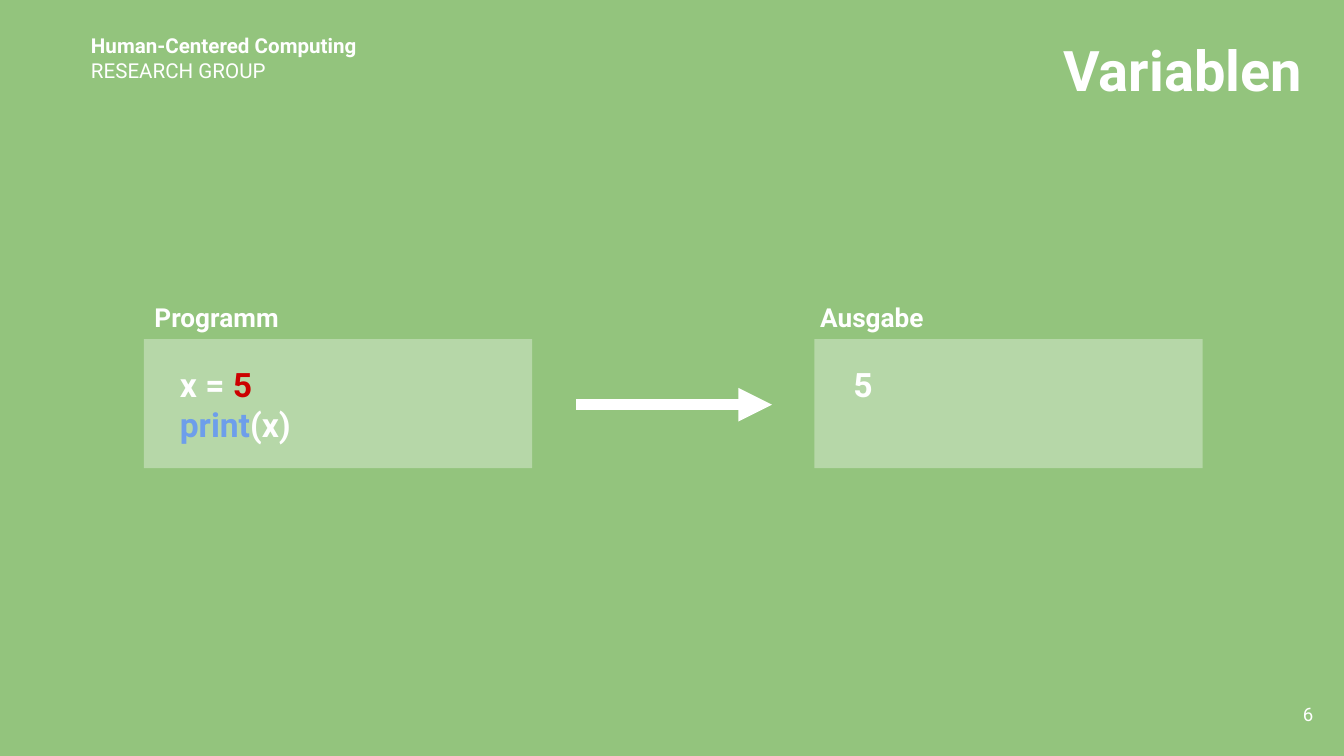
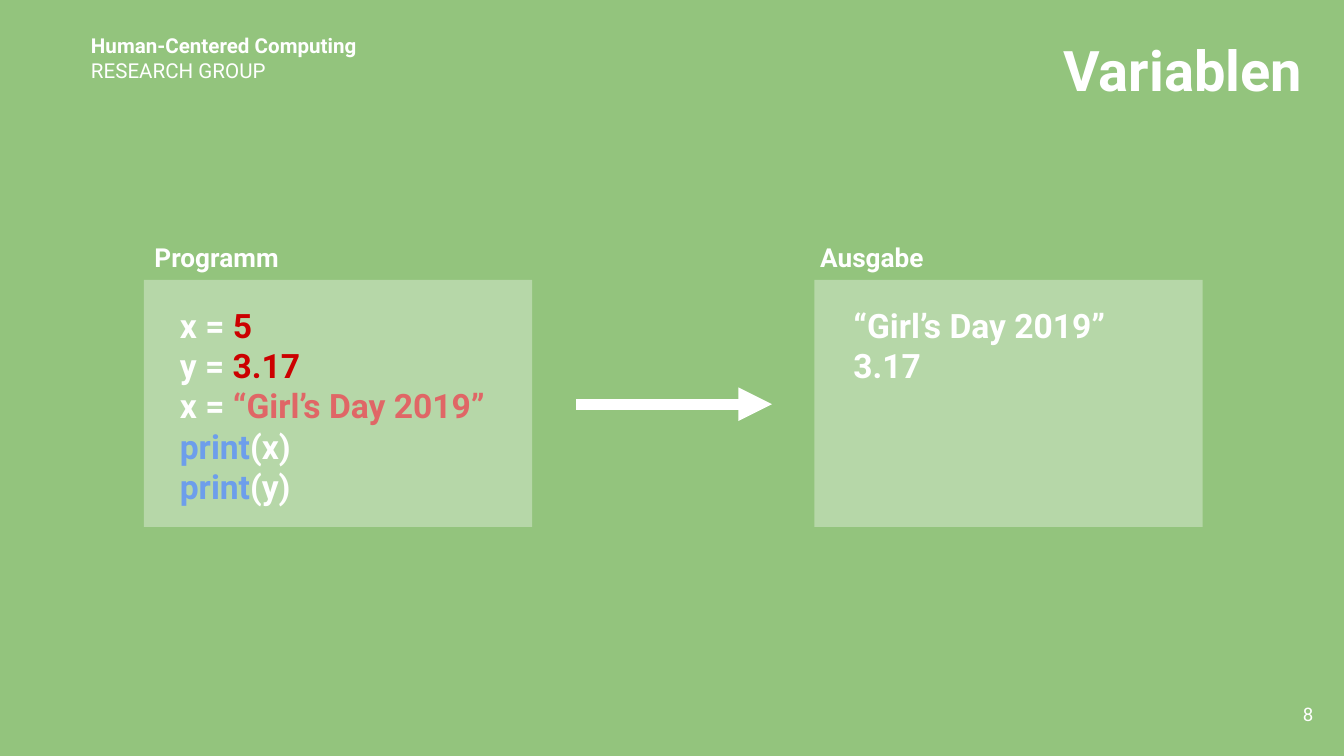
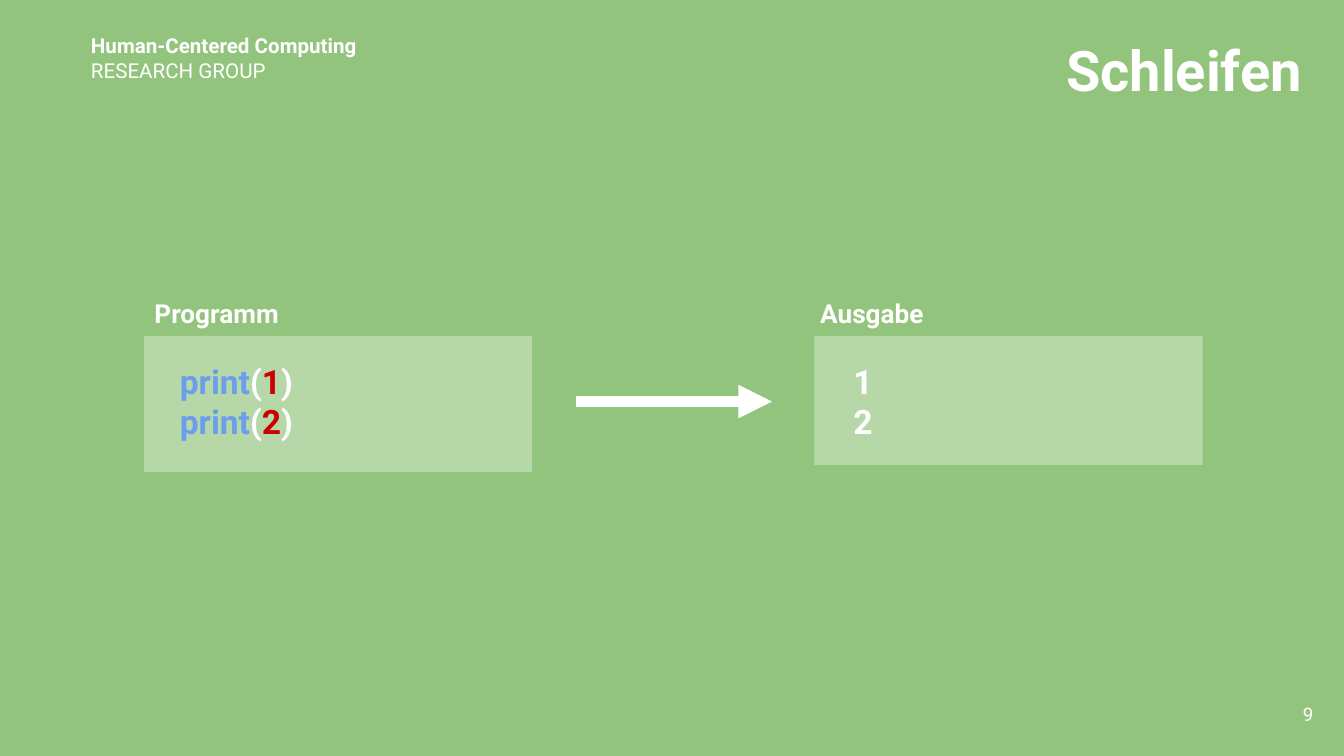
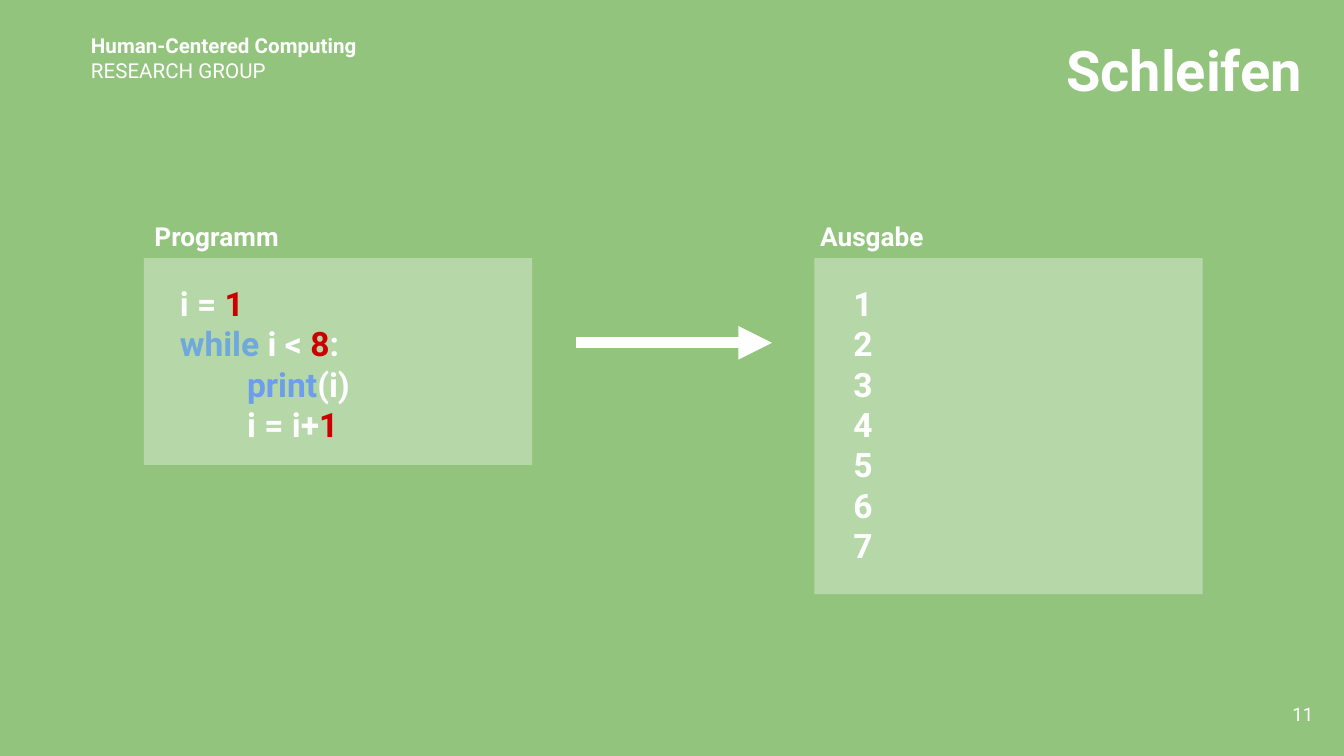
import pptx
import pptx.dml.color
import pptx.enum.shapes
import pptx.enum.text
import pptx.oxml
import pptx.oxml.ns
import pptx.util
from pptx.util import Cm

FONT = "Roboto"
BACKGROUND = "93C47D"
PANEL = "B6D7A8"
WHITE = "FFFFFF"
NUMBER = "CC0000"
STRING = "E06666"
FUNCTION = "6D9EEB"
KEYWORD = "6FA8DC"

PANEL_WIDTH = 7.34
PROGRAM_LEFT, OUTPUT_LEFT = 2.72, 15.39
LABEL_HEIGHT = 0.97
LINE_HEIGHT = 0.76
INSET = 0.25
ARROW_START, ARROW_END = 10.89, 14.59

PRINT = ("print", FUNCTION)

# Each line of code is a list of plain strings and (text, colour) pairs.
SLIDES = [
    dict(title="Variablen", page=6, top=6.41, heights=(2.44, 2.44), arrow_top=7.65,
         program=[["x = ", ("5", NUMBER)],
                  [PRINT, "(x)"]],
         output=["5"]),
    dict(title="Variablen", page=8, top=5.29, heights=(4.67, 4.67), arrow_top=7.64,
         program=[["x = ", ("5", NUMBER)],
                  ["y = ", ("3.17", NUMBER)],
                  ["x = ", ("“Girl’s Day 2019”", STRING)],
                  [PRINT, "(x)"],
                  [PRINT, "(y)"]],
         output=["“Girl’s Day 2019”", "3.17"]),
    dict(title="Schleifen", page=9, top=6.35, heights=(2.57, 2.44), arrow_top=7.59,
         program=[[PRINT, "(", (digit, NUMBER), ")"] for digit in "12"],
         output=["1", "2"]),
    dict(title="Schleifen", page=11, top=4.88, heights=(3.91, 6.35), arrow_top=6.48,
         program=[["i = ", ("1", NUMBER)],
                  [("while", KEYWORD), " i < ", ("8", NUMBER), ":"],
                  ["\t", PRINT, "(i)"],
                  ["\ti = i+", ("1", NUMBER)]],
         output=[str(number) for number in range(1, 8)]),
]


def color(hex_string):
    """Return the RGB colour of a hex string."""
    return pptx.dml.color.RGBColor.from_string(hex_string)


def add_text(paragraph, text, size=18, bold=True, fill=WHITE):
    """Add one formatted run to a paragraph."""
    run = paragraph.add_run()
    run.text = text
    run.font.name = FONT
    run.font.size = pptx.util.Pt(size)
    run.font.bold = bold
    run.font.color.rgb = color(fill)


def prepare_frame(shape, anchor=pptx.enum.text.MSO_ANCHOR.TOP):
    """Set wrapping, insets and anchor of a shape's text and return its frame."""
    frame = shape.text_frame
    frame.word_wrap = True
    frame.auto_size = pptx.enum.text.MSO_AUTO_SIZE.NONE
    frame.vertical_anchor = anchor
    frame.margin_left = frame.margin_right = Cm(INSET)
    frame.margin_top = frame.margin_bottom = Cm(INSET)
    return frame


def add_text_box(slide, left, top, width, height, **options):
    """Add a text box, measured in centimetres, and return its text frame."""
    box = slide.shapes.add_textbox(Cm(left), Cm(top), Cm(width), Cm(height))
    return prepare_frame(box, **options)


def add_title(slide, text):
    """Place and fill the title placeholder."""
    title = slide.shapes.title
    title.left, title.top, title.width, title.height = map(Cm, (16.71, 0.43, 8.15, 1.6))
    paragraph = prepare_frame(title).paragraphs[0]
    paragraph.alignment = pptx.enum.text.PP_ALIGN.RIGHT
    add_text(paragraph, text, size=30)


def add_header(slide):
    """Add the name of the group at the top left."""
    frame = add_text_box(slide, 1.47, 0.38, 8.71, 1.68)
    add_text(frame.paragraphs[0], "Human-Centered Computing", size=11)
    add_text(frame.add_paragraph(), "RESEARCH GROUP", size=11, bold=False)


def add_page_number(slide, page):
    """Add the page number at the bottom right."""
    frame = add_text_box(slide, 23.55, 12.95, 1.52, 1.09,
                         anchor=pptx.enum.text.MSO_ANCHOR.MIDDLE)
    paragraph = frame.paragraphs[0]
    paragraph.alignment = pptx.enum.text.PP_ALIGN.RIGHT
    add_text(paragraph, str(page), size=10, bold=False)


def add_panel(slide, label, lines, left, top, height, label_offset, code_offset):
    """Add a labelled panel with lines of code or output."""
    panel = slide.shapes.add_shape(pptx.enum.shapes.MSO_SHAPE.RECTANGLE,
                                   Cm(left), Cm(top), Cm(PANEL_WIDTH), Cm(height))
    panel.shadow.inherit = False
    panel.fill.solid()
    panel.fill.fore_color.rgb = color(PANEL)
    panel.line.fill.background()

    frame = add_text_box(slide, left + label_offset, top - LABEL_HEIGHT, 4.11, LABEL_HEIGHT)
    add_text(frame.paragraphs[0], label, size=14)

    frame = add_text_box(slide, left + code_offset, top + 0.22, 6.43,
                         len(lines) * LINE_HEIGHT + 2 * INSET)
    for index, line in enumerate(lines):
        paragraph = frame.add_paragraph() if index else frame.paragraphs[0]
        for part in line:
            text, fill = (part, WHITE) if isinstance(part, str) else part
            add_text(paragraph, text, fill=fill)


def add_arrow(slide, top):
    """Add the arrow from the program to its output."""
    arrow = slide.shapes.add_connector(pptx.enum.shapes.MSO_CONNECTOR.STRAIGHT,
                                       Cm(ARROW_START), Cm(top), Cm(ARROW_END), Cm(top))
    arrow.line.color.rgb = color(WHITE)
    arrow.line.width = pptx.util.Pt(6)
    namespace = pptx.oxml.ns.nsdecls("a")
    arrow.line._get_or_add_ln().append(
        pptx.oxml.parse_xml(f'<a:tailEnd {namespace} type="triangle"/>'))
    arrow._element.spPr.append(pptx.oxml.parse_xml(f"<a:effectLst {namespace}/>"))


def add_code_slide(presentation, title, page, top, heights, arrow_top, program, output):
    """Add a slide that shows a program and what it prints."""
    slide = presentation.slides.add_slide(presentation.slide_layouts.get_by_name("Title Only"))
    add_page_number(slide, page)
    add_header(slide)
    add_title(slide, title)
    add_panel(slide, "Programm", program, PROGRAM_LEFT, top, heights[0],
              label_offset=-0.05, code_offset=0.43)
    add_arrow(slide, arrow_top)
    add_panel(slide, "Ausgabe", [[line] for line in output], OUTPUT_LEFT, top, heights[1],
              label_offset=-0.14, code_offset=0.49)


def main():
    """Build the presentation."""
    presentation = pptx.Presentation()
    presentation.slide_width, presentation.slide_height = Cm(25.4), Cm(14.29)
    background = presentation.slide_master.background.fill
    background.solid()
    background.fore_color.rgb = color(BACKGROUND)
    for content in SLIDES:
        add_code_slide(presentation, **content)
    presentation.save("out.pptx")


main()
